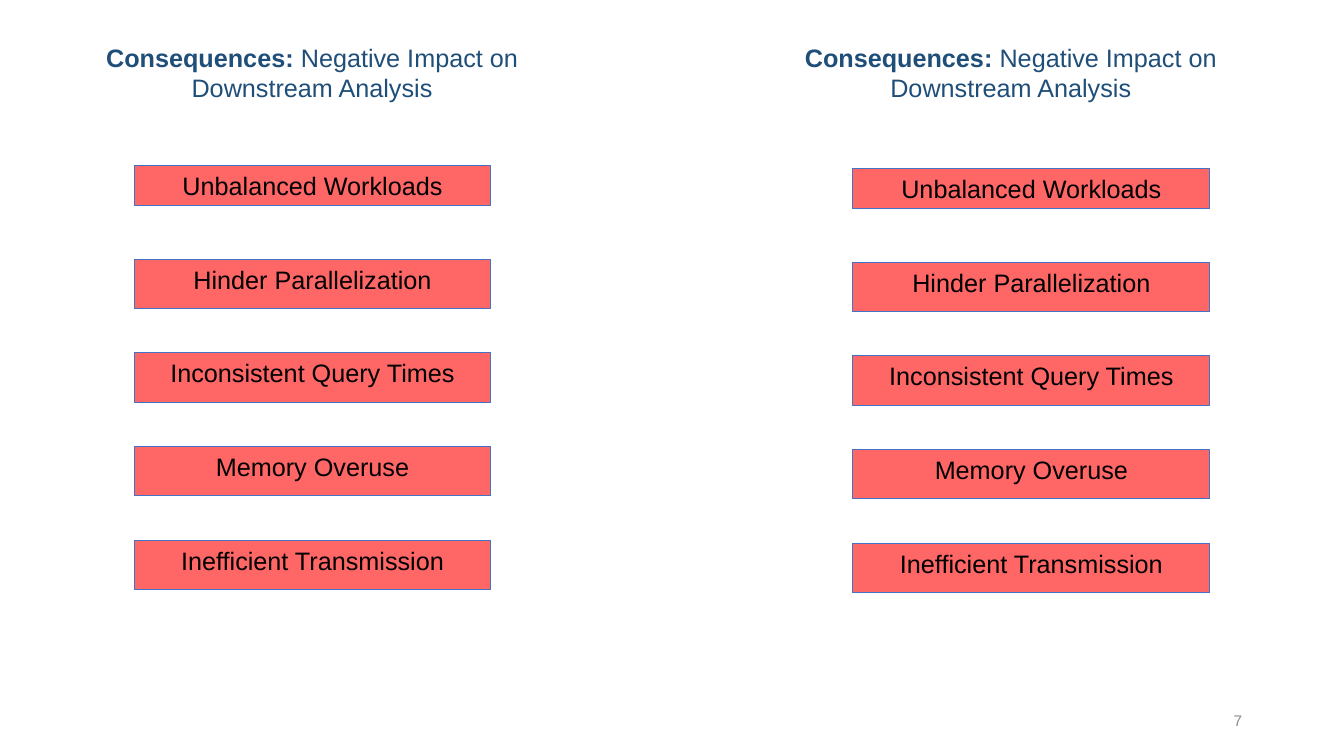
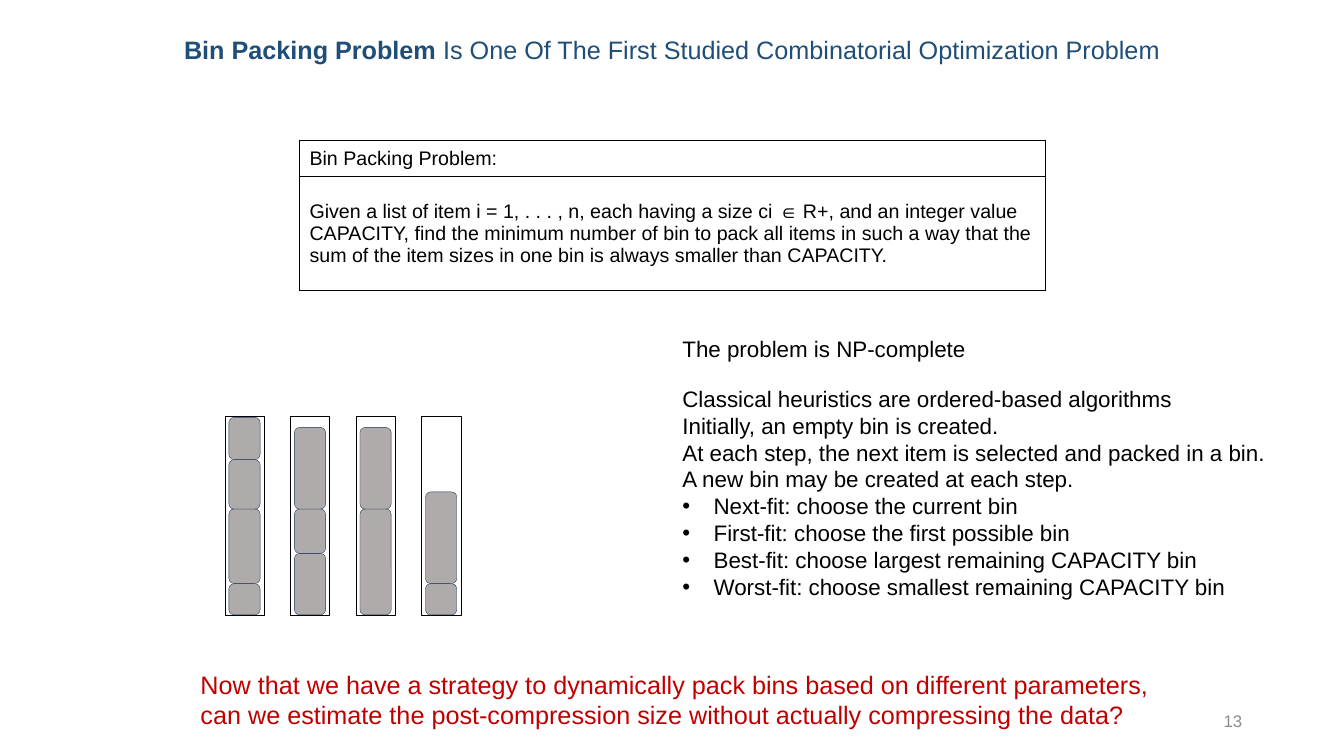
from dataclasses import dataclass
from itertools import accumulate

from lxml import etree
from pptx import Presentation
from pptx import util as u
from pptx.dml import color
from pptx.enum import shapes, text
from pptx.oxml import ns

# Content
CONSEQUENCES_TITLE = [("Consequences: ", True), ("Negative Impact on Downstream Analysis", False)]
CONSEQUENCES = ["Unbalanced Workloads", "Hinder Parallelization", "Inconsistent Query Times",
                "Memory Overuse", "Inefficient Transmission"]
CONSEQUENCE_COLUMNS = [(1.33, 1.64), (8.46, 1.67)]  # left, top

PACKING_TITLE = [("Bin Packing Problem ", True),
                 ("Is One Of The First Studied Combinatorial Optimization Problem", False)]
DEFINITION = [
    ("Bin Packing Problem:", 0.36),
    ("Given a list of item i = 1, . . . , n, each having a size ci ∈ R+, and an integer value "
     "CAPACITY, find the minimum number of bin to pack all items in such a way that the sum of "
     "the item sizes in one bin is always smaller than CAPACITY.", 1.13),
]
BINS = [[0.31, 0.74, 0.49, 0.42], [0.61, 0.44, 0.81], [1.05, 0.81], [0.31, 0.91]]  # bottom up
COMPLEXITY = ["The problem is NP-complete"]
HEURISTICS = ["Classical heuristics are ordered-based algorithms",
              "Initially, an empty bin is created.",
              "At each step, the next item is selected and packed in a bin.",
              "A new bin may be created at each step."]
STRATEGIES = ["Next-fit: choose the current bin",
              "First-fit: choose the first possible bin",
              "Best-fit: choose largest remaining CAPACITY bin",
              "Worst-fit: choose smallest remaining CAPACITY bin"]
QUESTION = ["Now that we have a strategy to dynamically pack bins based on different parameters,",
            "can we estimate the post-compression size without actually compressing the data?"]


@dataclass(frozen=True)
class Theme:
    font: str = "Arial"
    title: str = "1F4E79"
    ink: str = "000000"
    page_number: str = "8C8C8C"
    alert: str = "FF0000"
    alert_line: str = "4472C4"
    alert_opacity: int = 60
    item: str = "AFABAB"
    item_line: str = "1E3256"
    question: str = "C00000"
    large: int = 18
    body: int = 16
    small: int = 14


THEME = Theme()
CENTER = text.PP_ALIGN.CENTER


# Shared helpers
def rgb(code):
    return color.RGBColor.from_string(code)


def add_span(para, words, size, ink, bold=False):
    span = para.add_run()
    span.text = words
    span.font.name, span.font.size, span.font.bold = THEME.font, u.Pt(size), bold
    span.font.color.rgb = rgb(ink)


def place(box, at):
    box.left, box.top, box.width, box.height = map(u.Inches, at)


def set_title(box, at, spans, wrap=True):
    place(box, at)
    frame = box.text_frame
    frame.auto_size = text.MSO_AUTO_SIZE.NONE
    frame.word_wrap = wrap
    frame.vertical_anchor = text.MSO_ANCHOR.TOP
    frame.paragraphs[0].alignment = CENTER
    for words, bold in spans:
        add_span(frame.paragraphs[0], words, THEME.large, THEME.title, bold)


def add_text(page, at, lines, size, ink, wrap=False):
    box = page.shapes.add_textbox(*map(u.Inches, at))
    frame = box.text_frame
    frame.word_wrap = wrap
    for index, words in enumerate(lines):
        para = frame.add_paragraph() if index else frame.paragraphs[0]
        add_span(para, words, size, ink)
    return frame


def add_bullet(para):
    props = para._p.get_or_add_pPr()
    props.set("marL", str(u.Inches(0.31)))
    props.set("indent", str(-u.Inches(0.31)))
    etree.SubElement(props, ns.qn("a:buFont")).set("typeface", THEME.font)
    etree.SubElement(props, ns.qn("a:buChar")).set("char", "•")


def add_box(parent, kind, at, fill, line, width):
    box = parent.shapes.add_shape(kind, *map(u.Inches, at))
    box.shadow.inherit = False
    if fill:
        box.fill.solid()
        box.fill.fore_color.rgb = rgb(fill)
    else:
        box.fill.background()
    box.line.color.rgb = rgb(line)
    box.line.width = u.Pt(width)
    return box


def new_page(deck, number, number_size):
    page = deck.slides.add_slide(deck.slide_layouts[5])
    frame = add_text(page, (9.42, 6.95, 3, 0.4), [number], number_size, THEME.page_number, True)
    frame.vertical_anchor = text.MSO_ANCHOR.MIDDLE
    frame.paragraphs[0].alignment = text.PP_ALIGN.RIGHT
    return page


# Consequences slide
def add_consequences(page, left, top):
    group = page.shapes.add_group_shape()
    for index, words in enumerate(CONSEQUENCES):
        height = 0.49 if index else 0.4
        box = add_box(group, shapes.MSO_SHAPE.RECTANGLE, (left, top + 0.93 * index, 3.54, height),
                      THEME.alert, THEME.alert_line, 0.75)
        tint = box.fill._xPr.find(".//" + ns.qn("a:srgbClr"))
        etree.SubElement(tint, ns.qn("a:alpha")).set("val", str(THEME.alert_opacity * 1000))
        box.text_frame.vertical_anchor = text.MSO_ANCHOR.TOP
        para = box.text_frame.paragraphs[0]
        para.alignment = CENTER
        add_span(para, words, THEME.large, THEME.ink)


def build_consequences(deck):
    page = new_page(deck, "7", 11)
    right_title = page.shapes.add_textbox(0, 0, 0, 0)
    for box, left in ((page.shapes.title, 0.52), (right_title, 7.45)):
        set_title(box, (left, 0.37, 5.15, 0.71), CONSEQUENCES_TITLE)
    for left, top in CONSEQUENCE_COLUMNS:
        add_consequences(page, left, top)


# Bin packing slide
def add_border(cell):
    props = cell._tc.get_or_add_tcPr()
    for index, side in enumerate(("lnL", "lnR", "lnT", "lnB")):
        line = etree.Element(ns.qn("a:" + side), w=str(u.Pt(1)))
        fill = etree.SubElement(line, ns.qn("a:solidFill"))
        etree.SubElement(fill, ns.qn("a:srgbClr")).set("val", THEME.ink)
        props.insert(index, line)


def add_definition(page):
    at = (2.97, 1.39, 7.4, sum(height for _, height in DEFINITION))
    table = page.shapes.add_table(len(DEFINITION), 1, *map(u.Inches, at)).table
    table.first_row = table.horz_banding = False
    for index, (words, height) in enumerate(DEFINITION):
        table.rows[index].height = u.Inches(height)
        cell = table.cell(index, 0)
        cell.fill.background()
        cell.vertical_anchor = text.MSO_ANCHOR.MIDDLE
        add_span(cell.text_frame.paragraphs[0], words, THEME.small, THEME.ink)
        add_border(cell)


def add_bins(page):
    bottom, height = 6.1, 1.97
    for index, sizes in enumerate(BINS):
        left = 2.23 + 0.65 * index
        add_box(page, shapes.MSO_SHAPE.RECTANGLE, (left, bottom - height, 0.39, height),
                None, THEME.ink, 0.25)
        for size, filled in zip(sizes, accumulate(sizes)):
            add_box(page, shapes.MSO_SHAPE.ROUNDED_RECTANGLE,
                    (left + 0.04, bottom - filled, 0.31, size), THEME.item, THEME.item_line, 0.25)


def build_packing(deck):
    page = new_page(deck, "13", 12)
    set_title(page.shapes.title, (1.68, 0.29, 9.97, 0.4), PACKING_TITLE, wrap=False)
    add_definition(page)
    add_bins(page)
    add_text(page, (6.67, 3.28, 3.04, 0.37), COMPLEXITY, THEME.body, THEME.ink)
    frame = add_text(page, (6.67, 3.77, 6.3, 2.32), HEURISTICS + STRATEGIES, THEME.body, THEME.ink)
    for para in frame.paragraphs[len(HEURISTICS):]:
        add_bullet(para)
    add_text(page, (1.89, 6.59, 9.76, 0.71), QUESTION, THEME.large, THEME.question)


def main():
    deck = Presentation()
    deck.slide_width, deck.slide_height = u.Inches(13.33), u.Inches(7.5)
    build_consequences(deck)
    build_packing(deck)
    deck.save("out.pptx")


if __name__ == "__main__":
    main()
